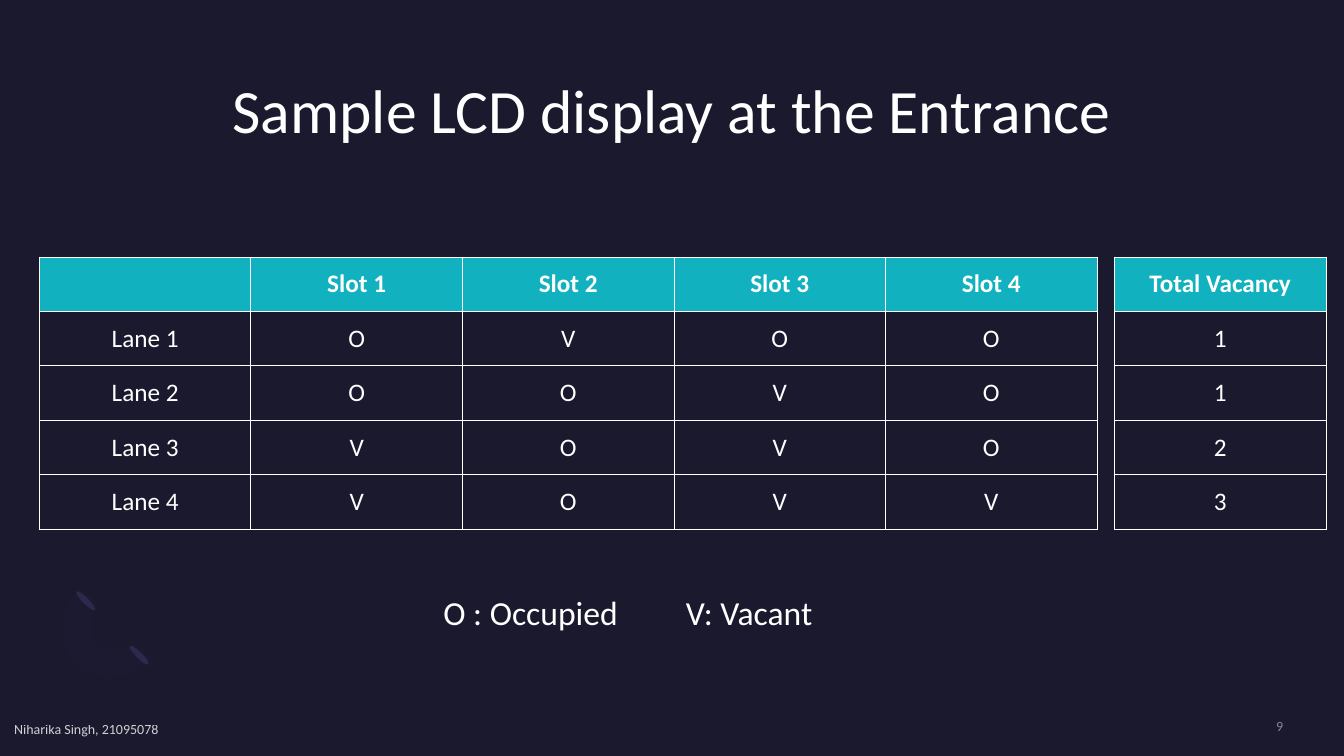
from dataclasses import dataclass

from lxml.etree import SubElement
from pptx import Presentation
from pptx.dml.color import RGBColor
from pptx.enum.shapes import MSO_SHAPE
from pptx.enum.text import MSO_ANCHOR, PP_ALIGN
from pptx.oxml import parse_xml
from pptx.oxml.ns import nsdecls, qn
from pptx.util import Inches, Pt

WIDTH, HEIGHT = Inches(13.33), Inches(7.5)


@dataclass(frozen=True)
class Theme:
    font: str = "Calibri"
    background: str = "1B192E"
    text: str = "FFFFFF"
    number: str = "A6A6A6"
    header: str = "12B1BF"
    blade: str = "2C284A"
    arc: str = "7771B2"
    title_size: int = 44
    legend_size: int = 24
    table_size: int = 18
    footer_size: int = 10


THEME = Theme()


@dataclass(frozen=True)
class Box:
    """A frame in percent of the slide's width and height."""
    x: float
    y: float
    w: float
    h: float

    def emu(self) -> tuple[int, int, int, int]:
        return share_x(self.x), share_y(self.y), share_x(self.w), share_y(self.h)


@dataclass(frozen=True)
class Label:
    text: str
    box: Box
    size: int
    color: str = THEME.text
    align: PP_ALIGN = PP_ALIGN.LEFT
    anchor: MSO_ANCHOR = MSO_ANCHOR.TOP
    inset: float = 0
    line_spacing: float = 1.0
    opacity: int = 100
    tab: float = 0


@dataclass(frozen=True)
class Grid:
    x: float
    rows: list[list[str]]


TABLE_TOP, COLUMN, ROW = 34, 15.74, 7.2

LABELS = [
    Label("Sample LCD display at the Entrance", Box(4.5, 10.67, 91, 19.47),
          THEME.title_size, align=PP_ALIGN.CENTER, line_spacing=0.9),
    Label("9", Box(81.6, 94.93, 13.88, 2.27), THEME.footer_size, THEME.number,
          PP_ALIGN.RIGHT, MSO_ANCHOR.MIDDLE, opacity=80),
    Label("O : Occupied\tV: Vacant", Box(32.25, 77.6, 35.55, 6.67),
          THEME.legend_size, inset=0.1, tab=18.05),
    Label("Niharika Singh, 21095078", Box(1.05, 95.33, 52.35, 2.27),
          THEME.footer_size, anchor=MSO_ANCHOR.MIDDLE, opacity=80),
]

GRIDS = [
    Grid(2.93, [
        ["", "Slot 1", "Slot 2", "Slot 3", "Slot 4"],
        ["Lane 1", *"OVOO"],
        ["Lane 2", *"OOVO"],
        ["Lane 3", *"VOVO"],
        ["Lane 4", *"VOVV"],
    ]),
    Grid(82.92, [["Total Vacancy"], *"1123"]),
]

BLADES = [Box(10.13, 84.93, 0.45, 3.47), Box(6.15, 77.73, 0.45, 3.47)]

ARC_CURVES = [
    [(5.7, 87.87), (4.2, 85.2), (4.35, 80.67), (6.08, 77.6)],
    [(7.43, 80), (6.53, 81.47), (6.45, 83.87), (7.2, 85.07)],
    [(7.2, 85.07), (7.95, 86.4), (9.23, 86.27), (10.13, 84.8)],
    [(11.4, 87.2), (9.75, 90.13), (7.13, 90.53), (5.7, 87.87)],
]


def share_x(percent: float) -> int:
    return round(WIDTH * percent / 100)


def share_y(percent: float) -> int:
    return round(HEIGHT * percent / 100)


def rgb(color: str) -> RGBColor:
    return RGBColor.from_string(color)


def set_opacity(element, percent: int) -> None:
    for color in element.iter(qn("a:srgbClr")):
        SubElement(color, qn("a:alpha"), val=str(percent * 1000))


def format_runs(p, size: int, color: str, bold: bool = False) -> None:
    for r in p.runs:
        r.font.name, r.font.size, r.font.bold = THEME.font, Pt(size), bold
        r.font.color.rgb = rgb(color)


def add_label(s, label: Label) -> None:
    tf = s.shapes.add_textbox(*label.box.emu()).text_frame
    tf.word_wrap = True
    tf.vertical_anchor = label.anchor
    tf.margin_left = tf.margin_right = Inches(label.inset)
    tf.margin_top = tf.margin_bottom = Inches(label.inset / 2)
    tf.text = label.text
    p = tf.paragraphs[0]
    p.alignment, p.line_spacing = label.align, label.line_spacing
    if label.tab:
        tabs = SubElement(p._p.get_or_add_pPr(), qn("a:tabLst"))
        SubElement(tabs, qn("a:tab"), pos=str(share_x(label.tab)), algn="l")
    format_runs(p, label.size, label.color)
    if label.opacity < 100:
        set_opacity(p._p, label.opacity)


def add_borders(cell) -> None:
    tc_pr = cell._tc.get_or_add_tcPr()
    for i, side in enumerate("LRTB"):
        tc_pr.insert(i, parse_xml(
            f'<a:ln{side} {nsdecls("a")} w="{Pt(0.75)}"><a:solidFill>'
            f'<a:srgbClr val="{THEME.text}"/></a:solidFill></a:ln{side}>'))


def add_grid(s, grid: Grid) -> None:
    n_rows, n_cols = len(grid.rows), len(grid.rows[0])
    box = Box(grid.x, TABLE_TOP, n_cols * COLUMN, n_rows * ROW)
    table = s.shapes.add_table(n_rows, n_cols, *box.emu()).table
    table.horz_banding = False
    for column in table.columns:
        column.width = share_x(COLUMN)
    for i, texts in enumerate(grid.rows):
        table.rows[i].height = share_y(ROW)
        for j, text in enumerate(texts):
            cell = table.cell(i, j)
            cell.text = text
            cell.vertical_anchor = MSO_ANCHOR.MIDDLE
            p = cell.text_frame.paragraphs[0]
            p.alignment = PP_ALIGN.CENTER
            format_runs(p, THEME.table_size, THEME.text, bold=i == 0)
            if i == 0:
                cell.fill.solid()
                cell.fill.fore_color.rgb = rgb(THEME.header)
            else:
                cell.fill.background()
            add_borders(cell)


def paint(sp, color: str) -> None:
    sp.shadow.inherit = False
    sp.fill.solid()
    sp.fill.fore_color.rgb = rgb(color)
    sp.line.fill.background()


def curve_points(curve: list, steps: int = 12) -> list[tuple[int, int]]:
    """Sample a cubic Bezier curve, its end points included."""
    points = []
    for k in range(steps + 1):
        t = k / steps
        weights = (1 - t) ** 3, 3 * t * (1 - t) ** 2, 3 * t * t * (1 - t), t ** 3
        x, y = (sum(w * c for w, c in zip(weights, axis)) for axis in zip(*curve))
        points.append((share_x(x), share_y(y)))
    return points


def add_ornament(s) -> None:
    for blade in BLADES:
        sp = s.shapes.add_shape(MSO_SHAPE.OVAL, *blade.emu())
        sp.rotation = 135
        paint(sp, THEME.blade)
    start, *others = [pt for curve in ARC_CURVES for pt in curve_points(curve)]
    builder = s.shapes.build_freeform(*start)
    builder.add_line_segments(others, close=True)
    arc = builder.convert_to_shape()
    paint(arc, THEME.arc)
    set_opacity(arc._element.spPr, 2)


def main() -> None:
    prs = Presentation()
    prs.slide_width, prs.slide_height = WIDTH, HEIGHT
    s = prs.slides.add_slide(prs.slide_layouts[6])
    s.background.fill.solid()
    s.background.fill.fore_color.rgb = rgb(THEME.background)
    add_ornament(s)
    for grid in GRIDS:
        add_grid(s, grid)
    for label in LABELS:
        add_label(s, label)
    prs.save("out.pptx")


if __name__ == "__main__":
    main()
